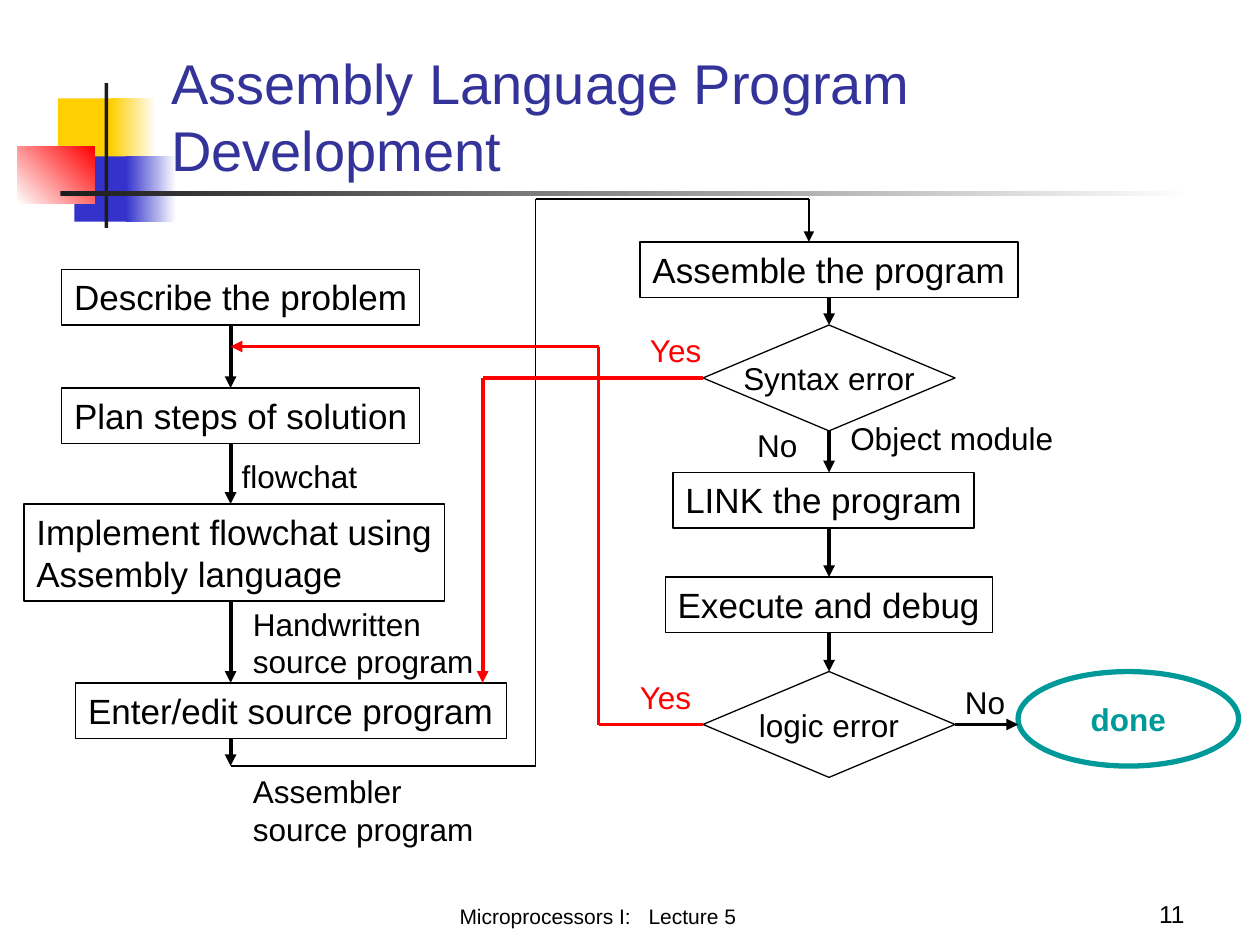
from dataclasses import dataclass
from itertools import pairwise

from lxml import etree
from pptx import Presentation
from pptx import util as u
from pptx.dml.color import RGBColor
from pptx.enum import shapes, text
from pptx.oxml.ns import qn


@dataclass(frozen=True)
class Theme:
    font: str = "Arial"
    black: str = "000000"
    dark: str = "1C1C1C"
    white: str = "FFFFFF"
    yellow: str = "FFCF01"
    blue: str = "3333CC"
    red: str = "FF0000"
    teal: str = "009999"
    title: str = "333399"
    title_size: int = 32
    step_size: int = 20
    label_size: int = 18
    number_size: int = 14
    footer_size: int = 12
    thin: float = 0.75
    thick: float = 2.25
    heavy: float = 3


@dataclass(frozen=True)
class Box:
    left: float
    top: float
    width: float
    height: float

    def point(self, x, y):
        return u.Inches(self.left + x), u.Inches(self.top + y)

    def place(self, x, y, width, height):
        return *self.point(x, y), u.Inches(width), u.Inches(height)

    def whole(self):
        return self.place(0, 0, self.width, self.height)


THEME = Theme()
RECTANGLE = shapes.MSO_SHAPE.RECTANGLE
DIAMOND = shapes.MSO_SHAPE.DIAMOND
OVAL = shapes.MSO_SHAPE.OVAL
TOP, LEFT, BOTTOM, RIGHT = range(4)


def rgb(value):
    return RGBColor.from_string(value)


def write(shape, words, size, color=THEME.black, align=text.PP_ALIGN.LEFT,
          anchor=text.MSO_ANCHOR.TOP, bold=False, wrap=False):
    frame = shape.text_frame
    frame.text = words
    frame.word_wrap = wrap
    frame.vertical_anchor = anchor
    for paragraph in frame.paragraphs:
        paragraph.alignment = align
        for run in paragraph.runs:
            run.font.name = THEME.font
            run.font.size = u.Pt(size)
            run.font.bold = bold
            run.font.color.rgb = rgb(color)


def add_label(slide, place, words, color=THEME.black):
    write(slide.shapes.add_textbox(*place), words, THEME.label_size, color)


def add_node(slide, place, words, kind=RECTANGLE, color=THEME.black, width=THEME.thin):
    shape = slide.shapes.add_shape(kind, *place)
    shape.shadow.inherit = False
    shape.fill.background()
    shape.line.color.rgb = rgb(color)
    shape.line.width = u.Pt(width)
    if kind == RECTANGLE:
        write(shape, words, THEME.step_size)
    else:
        write(shape, words, THEME.label_size, color, text.PP_ALIGN.CENTER,
              text.MSO_ANCHOR.MIDDLE, bold=kind == OVAL)
    return shape


def add_line(slide, start, end, color=THEME.black, width=THEME.thick, arrow=True):
    line = slide.shapes.add_connector(shapes.MSO_CONNECTOR.STRAIGHT, *start, *end)
    line.line.color.rgb = rgb(color)
    line.line.width = u.Pt(width)
    if arrow:
        outline = line.line._get_or_add_ln()
        etree.SubElement(outline, qn("a:tailEnd"), type="triangle")
    etree.SubElement(line._element.spPr, qn("a:effectLst"))
    return line


def add_route(slide, points, color, width):
    segments = list(pairwise(points))
    lines = [add_line(slide, start, end, color, width, arrow=(start, end) == segments[-1])
             for start, end in segments]
    return lines[0]


def add_chain(slide, nodes, stem):
    def is_centred(node):
        return abs(node.left + node.width // 2 - stem) < u.Inches(0.02)

    for upper, lower in pairwise(nodes):
        line = add_line(slide, (stem, upper.top + upper.height), (stem, lower.top))
        if is_centred(upper):
            line.begin_connect(upper, BOTTOM)
        if is_centred(lower):
            line.end_connect(lower, TOP)


def add_decoration(slide, box):
    bars = (
        (0.32, 0.12, 0.48, 0.52, THEME.yellow, None, 0),
        (0.74, 0.12, 0.36, 0.52, THEME.yellow, THEME.white, 0),
        (0.45, 0.58, 0.46, 0.52, THEME.blue, None, 0),
        (0.86, 0.58, 0.4, 0.52, THEME.blue, THEME.white, 0),
        (0, 0.5, 0.61, 0.46, THEME.white, THEME.red, 45),
        (0.69, 0, 0.03, 1.15, THEME.dark, None, 0),
        (0.34, 0.86, 9, 0.04, THEME.dark, THEME.white, 0),
    )
    for x, y, width, height, first, last, angle in bars:
        shape = slide.shapes.add_shape(RECTANGLE, *box.place(x, y, width, height))
        shape.shadow.inherit = False
        shape.line.fill.background()
        if last is None:
            shape.fill.solid()
            shape.fill.fore_color.rgb = rgb(first)
        else:
            shape.fill.gradient()
            shape.fill.gradient_angle = angle
            for stop, color in zip(shape.fill.gradient_stops, (first, last)):
                stop.color.rgb = rgb(color)


def add_title(slide, box):
    write(slide.shapes.add_textbox(*box.whole()), "Assembly Language Program Development",
          THEME.title_size, THEME.title, anchor=text.MSO_ANCHOR.BOTTOM, wrap=True)


def add_footer(slide, box):
    course = slide.shapes.add_textbox(*box.place(0, 0, 5.33, box.height))
    write(course, "Microprocessors I:", THEME.footer_size, align=text.PP_ALIGN.CENTER,
          anchor=text.MSO_ANCHOR.BOTTOM, wrap=True)
    paragraph = course.text_frame.paragraphs[0]
    for words, spacing in ((" ", 670), ("Lecture 5", 0)):
        run = paragraph.add_run()
        run.text = words
        run.font.name = THEME.font
        run.font.size = u.Pt(THEME.footer_size)
        run.font.color.rgb = rgb(THEME.black)
        run.font._element.set("spc", str(spacing))
    number = slide.shapes.add_textbox(*box.place(5.34, 0, 2.08, box.height))
    write(number, "11", THEME.number_size, align=text.PP_ALIGN.RIGHT,
          anchor=text.MSO_ANCHOR.BOTTOM, wrap=True)


def add_writing_steps(slide, box):
    steps = (
        (0.3, 0, 2.84, 0.44, "Describe the problem"),
        (0.3, 0.94, 2.84, 0.44, "Plan steps of solution"),
        (0, 1.86, 3.34, 0.77, "Implement flowchat using\nAssembly language"),
        (0.41, 3.28, 3.42, 0.44, "Enter/edit source program"),
    )
    nodes = [add_node(slide, box.place(*place), words) for *place, words in steps]
    add_chain(slide, nodes, box.point(1.64, 0)[0])
    add_line(slide, box.point(1.64, 3.72), box.point(1.64, 3.94))
    add_label(slide, box.place(1.63, 1.44, 1.2, 0.4), "flowchat")
    for y, author in ((2.61, "Handwritten"), (3.94, "Assembler")):
        add_label(slide, box.place(1.72, y, 2, 0.7), f"{author}\nsource program")


def add_testing_steps(slide, box):
    steps = (
        (0.08, 0, 3, 0.44, "Assemble the program", RECTANGLE),
        (0.58, 0.66, 2, 0.84, "Syntax error", DIAMOND),
        (0.34, 1.83, 2.39, 0.44, "LINK the program", RECTANGLE),
        (0.28, 2.66, 2.6, 0.44, "Execute and debug", RECTANGLE),
        (0.58, 3.41, 2, 0.84, "logic error", DIAMOND),
    )
    nodes = [add_node(slide, box.place(*place), words, kind) for *place, words, kind in steps]
    add_chain(slide, nodes, box.point(1.58, 0)[0])
    add_node(slide, box.place(3.08, 3.41, 1.75, 0.75), "done", OVAL, THEME.teal, THEME.heavy)
    exit_line = add_line(slide, box.point(2.58, 3.83), box.point(3.08, 3.83))
    exit_line.begin_connect(nodes[4], RIGHT)
    add_label(slide, box.place(1.65, 1.36, 1.85, 0.4), "Object module")
    for x, y in ((0.91, 1.41), (2.56, 3.45)):
        add_label(slide, box.place(x, y, 0.55, 0.4), "No")
    for x, y in ((0.06, 0.66), (-0.02, 3.41)):
        add_label(slide, box.place(x, y, 0.65, 0.4), "Yes", THEME.red)
    return nodes[1], nodes[4]


def add_routes(slide, box, syntax_check, logic_check):
    def route(points, color, width):
        return add_route(slide, [box.point(*point) for point in points], color, width)

    route(((0, 4.5), (2.42, 4.5), (2.42, 0), (4.59, 0), (4.59, 0.34)), THEME.black, THEME.thin)
    syntax_route = route(((3.75, 1.42), (2, 1.42), (2, 3.84)), THEME.red, THEME.thick)
    syntax_route.begin_connect(syntax_check, LEFT)
    logic_route = route(((3.75, 4.17), (2.92, 4.17), (2.92, 1.17), (0, 1.17)),
                        THEME.red, THEME.thick)
    logic_route.begin_connect(logic_check, LEFT)


def main():
    presentation = Presentation()
    presentation.slide_width = u.Inches(10)
    presentation.slide_height = u.Inches(7.5)
    slide = presentation.slides.add_slide(presentation.slide_layouts[6])
    add_decoration(slide, Box(0.14, 0.66, 9.34, 1.15))
    add_footer(slide, Box(2.08, 6.92, 7.42, 0.5))
    add_title(slide, Box(1.26, 0.25, 8.52, 1.25))
    add_writing_steps(slide, Box(0.19, 2.14, 3.83, 4.64))
    checks = add_testing_steps(slide, Box(5, 1.92, 4.83, 4.25))
    add_routes(slide, Box(1.83, 1.58, 4.59, 4.5), *checks)
    presentation.save("out.pptx")


if __name__ == "__main__":
    main()
